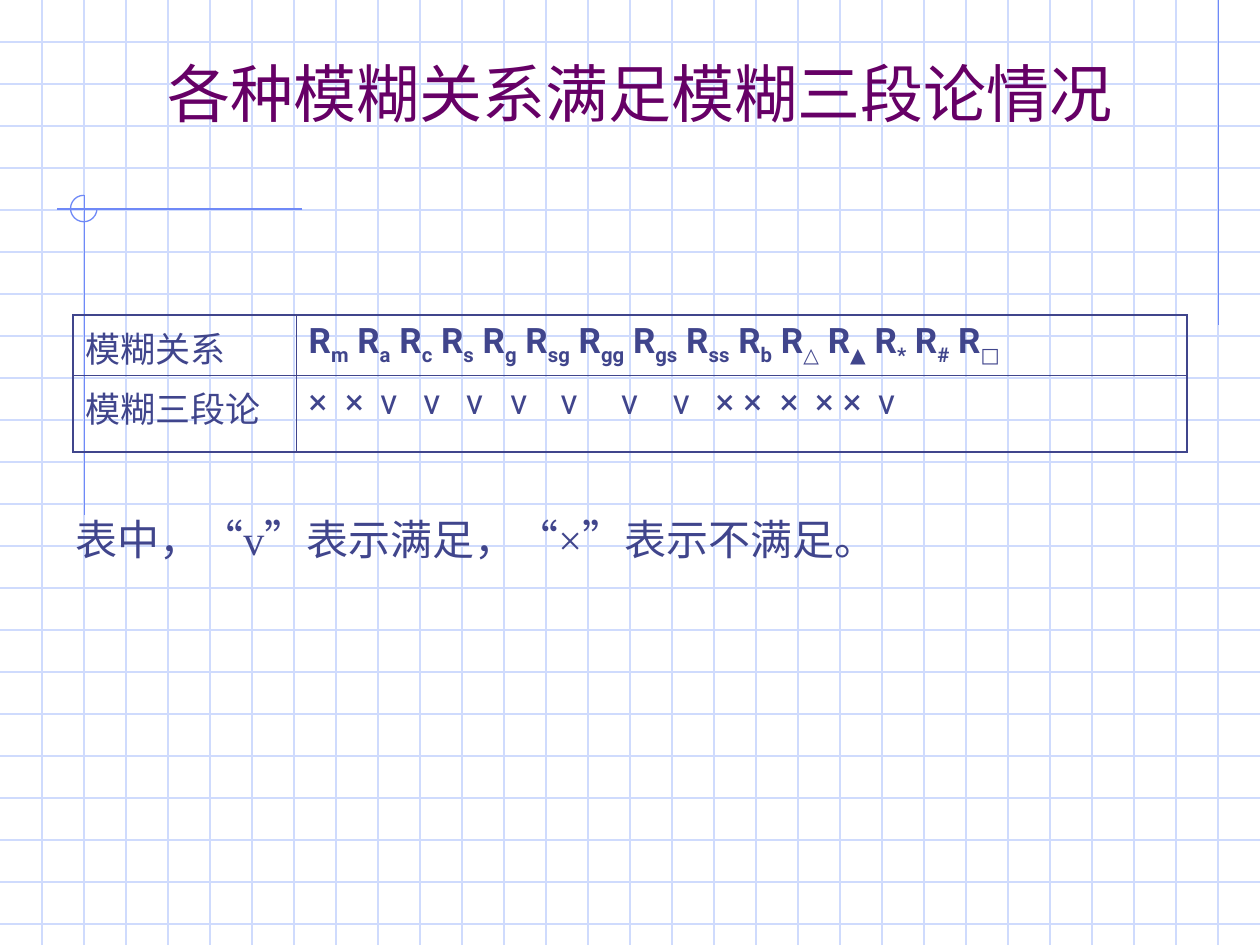
import pptx
import pptx.dml.color
import pptx.enum.shapes
import pptx.enum.text
import pptx.oxml.ns
import pptx.util
import lxml.etree
from dataclasses import dataclass

Inches = pptx.util.Inches
Pt = pptx.util.Pt
qn = pptx.oxml.ns.qn


@dataclass(frozen=True)
class Theme:
    grid: str = "CFDBFD"
    accent: str = "6F89F7"
    title: str = "660066"
    ink: str = "40458C"
    serif: str = "Times New Roman"
    sans: str = "Roboto"
    title_size: float = 36
    body_size: float = 24
    table_size: float = 20
    rule: float = 0.75
    outer: float = 1.08
    inner: float = 0.45


def rgb(color):
    return pptx.dml.color.RGBColor.from_string(color)


class Deck:
    def __init__(self, slide, theme):
        self.slide = slide
        self.theme = theme

    def line(self, x1, y1, x2, y2, color):
        sp = self.slide.shapes.add_connector(
            pptx.enum.shapes.MSO_CONNECTOR.STRAIGHT,
            Inches(x1), Inches(y1), Inches(x2), Inches(y2))
        sp.line.color.rgb = rgb(color)
        sp.line.width = Pt(self.theme.rule)
        lxml.etree.SubElement(sp._element.spPr, qn("a:effectLst"))

    def grid(self, width, height, per_inch):
        for i in range(1, int(height * per_inch) + 1):
            self.line(0, i / per_inch, width, i / per_inch, self.theme.grid)
        for i in range(1, int(width * per_inch)):
            self.line(i / per_inch, 0, i / per_inch, height, self.theme.grid)

    def arc(self, x, y, size, start, end):
        sp = self.slide.shapes.add_shape(
            pptx.enum.shapes.MSO_SHAPE.ARC,
            Inches(x), Inches(y), Inches(size), Inches(size))
        sp.adjustments[0] = start * 0.6
        sp.adjustments[1] = end * 0.6
        sp.shadow.inherit = False
        sp.fill.background()
        sp.line.color.rgb = rgb(self.theme.accent)
        sp.line.width = Pt(self.theme.rule)

    def font(self, p, name, size, color, bold=False):
        p.font.name = name
        p.font.size = Pt(size)
        p.font.bold = bold
        p.font.color.rgb = rgb(color)

    def text(self, x, y, w, h, text, size, color, align, anchor):
        sp = self.slide.shapes.add_textbox(Inches(x), Inches(y), Inches(w), Inches(h))
        tf = sp.text_frame
        tf.word_wrap = True
        tf.vertical_anchor = anchor
        p = tf.paragraphs[0]
        p.text = text
        p.alignment = align
        self.font(p, self.theme.serif, size, color)

    def table(self, x, y, cols, rows):
        shape = self.slide.shapes.add_table(
            len(rows), len(cols), Inches(x), Inches(y),
            Inches(sum(cols)), Inches(sum(rows)))
        table = shape.table
        table.first_row = table.horz_banding = False
        for col, width in zip(table.columns, cols):
            col.width = Inches(width)
        for row, height in zip(table.rows, rows):
            row.height = Inches(height)
        for r in range(len(rows)):
            for c in range(len(cols)):
                cell = table.cell(r, c)
                self.borders(cell, {
                    "a:lnL": c == 0, "a:lnR": c == len(cols) - 1,
                    "a:lnT": r == 0, "a:lnB": r == len(rows) - 1})
                cell.fill.background()
        return table

    def borders(self, cell, outer_sides):
        tcPr = cell._tc.get_or_add_tcPr()
        for tag, outer in outer_sides.items():
            width = self.theme.outer if outer else self.theme.inner
            ln = lxml.etree.SubElement(tcPr, qn(tag), w=str(Pt(width)))
            fill = lxml.etree.SubElement(ln, qn("a:solidFill"))
            lxml.etree.SubElement(fill, qn("a:srgbClr"), val=self.theme.ink)

    def cell(self, cell, runs, bold=False, tabs=()):
        p = cell.text_frame.paragraphs[0]
        if tabs:
            tab_list = lxml.etree.SubElement(p._p.get_or_add_pPr(), qn("a:tabLst"))
            for pos in tabs:
                lxml.etree.SubElement(tab_list, qn("a:tab"), pos=str(Inches(pos)), algn="l")
        self.font(p, self.theme.sans, self.theme.table_size, self.theme.ink, bold)
        for text, baseline in runs:
            r = p.add_run()
            r.text = text
            if baseline:
                r._r.get_or_add_rPr().set("baseline", str(baseline * 1000))


def main():
    theme = Theme()
    prs = pptx.Presentation()
    prs.slide_width, prs.slide_height = Inches(10), Inches(7.5)
    deck = Deck(prs.slides.add_slide(prs.slide_layouts[6]), theme)
    align = pptx.enum.text.PP_ALIGN
    anchor = pptx.enum.text.MSO_ANCHOR

    deck.grid(10, 7.5, 3)
    deck.line(9.67, 0, 9.67, 2.58, theme.accent)
    deck.line(2.4, 1.66, 0.45, 1.66, theme.accent)
    deck.line(0.67, 1.55, 0.67, 4.09, theme.accent)
    deck.arc(0.56, 1.55, 0.21, 0, 270)

    deck.text(0.83, 0.33, 8.5, 0.75, "各种模糊关系满足模糊三段论情况",
              theme.title_size, theme.title, align.CENTER, anchor.BOTTOM)
    deck.text(0.5, 4.03, 8.92, 0.65, "表中，“v”表示满足，“×”表示不满足。",
              theme.body_size, theme.ink, align.LEFT, anchor.TOP)

    table = deck.table(0.58, 2.5, [1.77, 7.07], [0.48, 0.61])
    relations = "m a c s g sg gg gs ss b △ ▲ * # □".split()
    relation_runs = []
    for i, name in enumerate(relations):
        relation_runs += [(" R" if i else "R", 0), (name, -25)]
    marks = "××vvvvvvv×××××v"
    mark_tabs = [0.29, 0.57, 0.91, 1.25, 1.6, 2, 2.48, 2.89,
                 3.23, 3.45, 3.74, 4.02, 4.24, 4.52]

    deck.cell(table.cell(0, 0), [("模糊关系", 0)])
    deck.cell(table.cell(0, 1), relation_runs, bold=True)
    deck.cell(table.cell(1, 0), [("模糊三段论", 0)])
    deck.cell(table.cell(1, 1), [("\t".join(marks), 0)], tabs=mark_tabs)

    prs.save("out.pptx")


if __name__ == "__main__":
    main()
